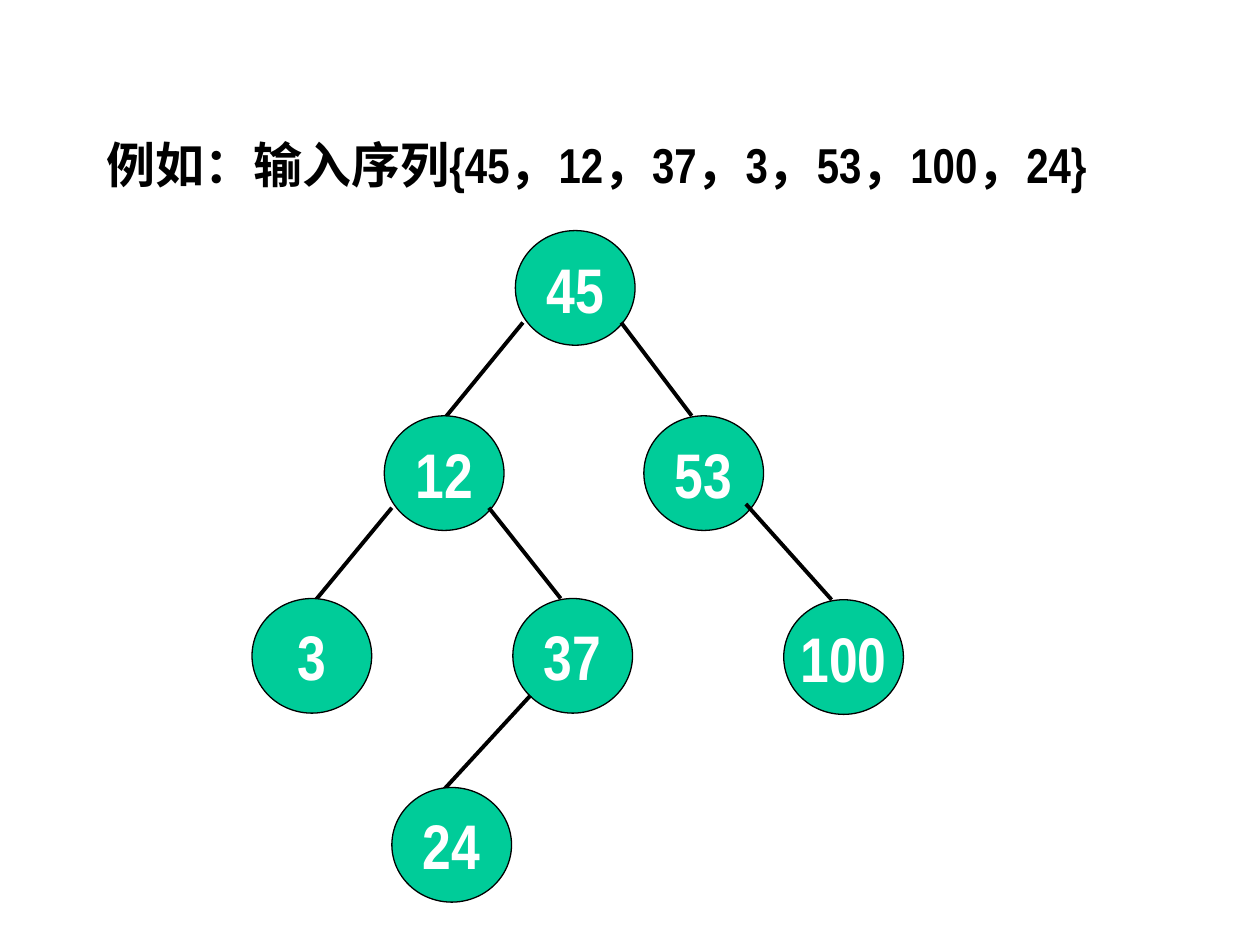
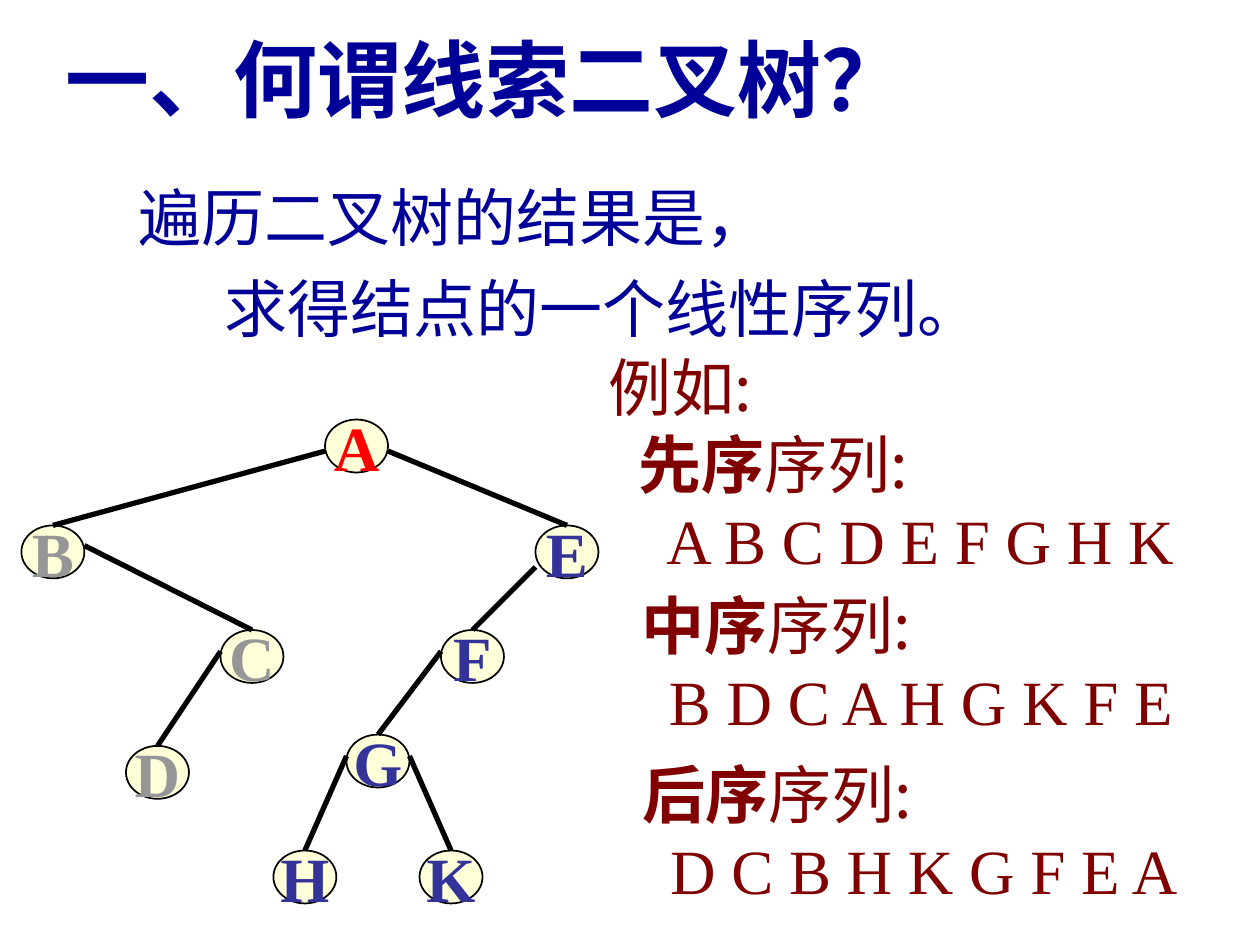
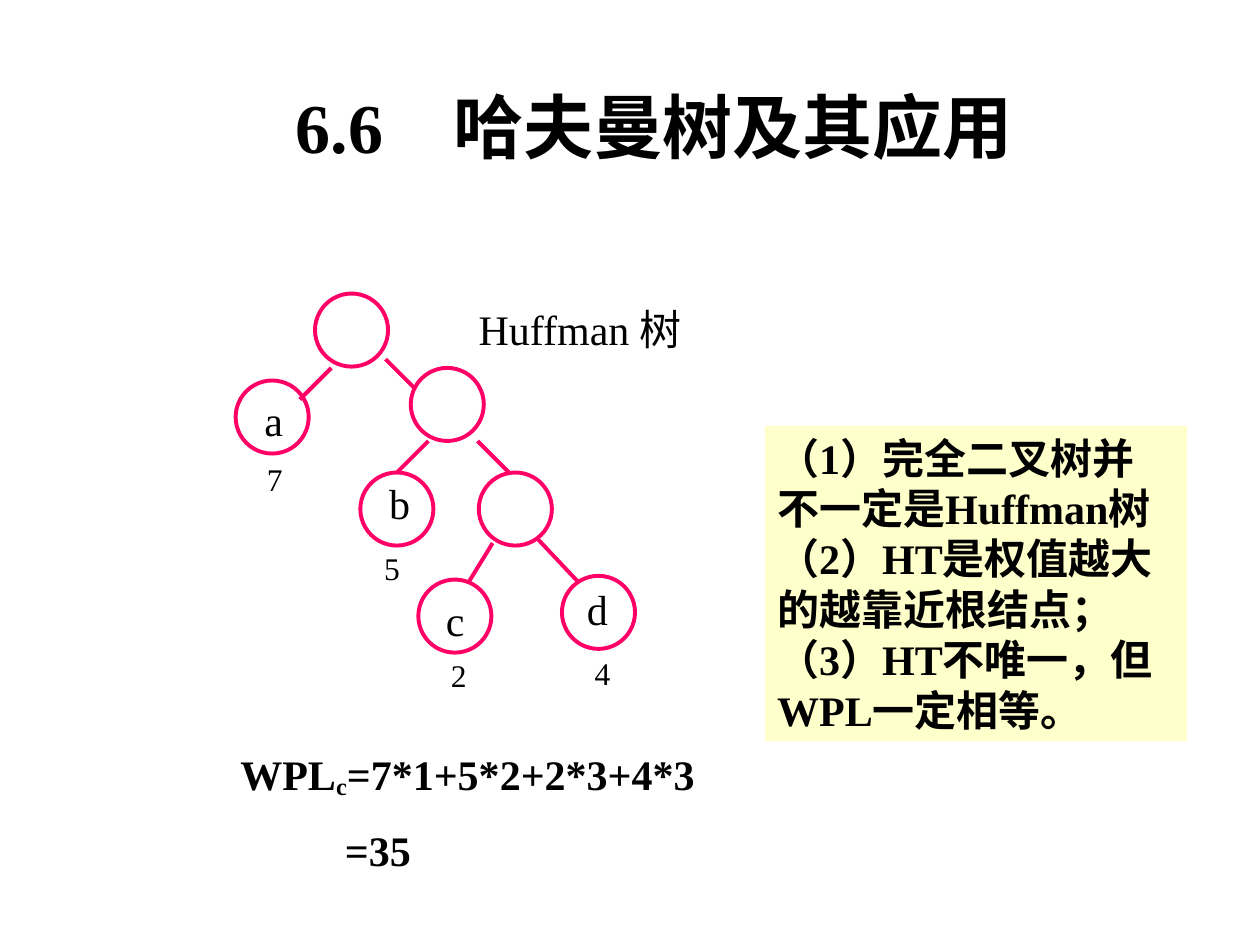
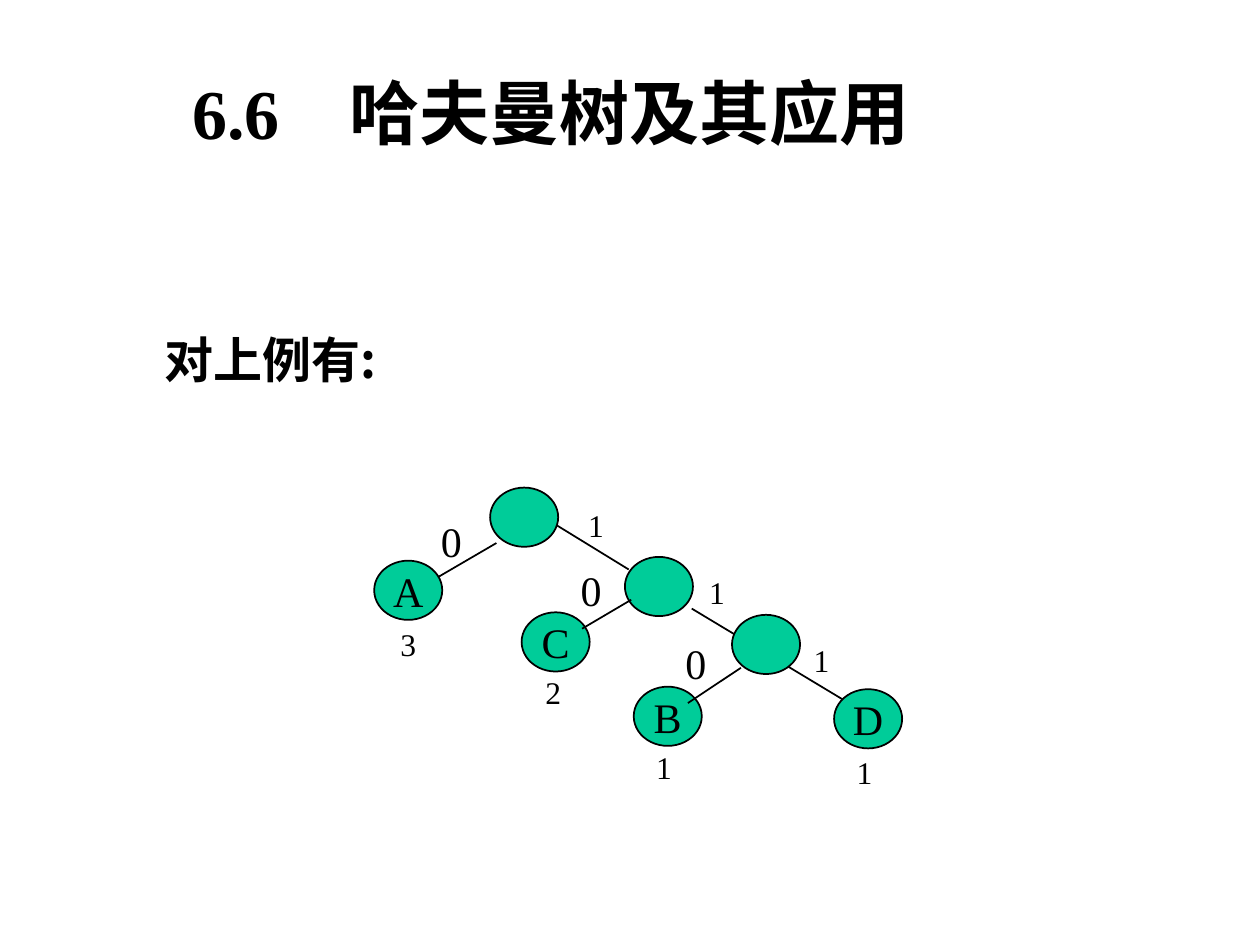
from dataclasses import dataclass

import pptx
import pptx.dml.color
import pptx.enum.shapes
import pptx.enum.text
import pptx.oxml.ns
import pptx.util
from lxml import etree

Inches = pptx.util.Inches
Pt = pptx.util.Pt
ANCHOR = pptx.enum.text.MSO_ANCHOR
ALIGN = pptx.enum.text.PP_ALIGN
qn = pptx.oxml.ns.qn


@dataclass(frozen=True)
class Theme:
    black: str = "000000"
    white: str = "FFFFFF"
    green: str = "00CC99"
    cream: str = "FFFFD9"
    note: str = "FFFFCC"
    navy: str = "000099"
    indigo: str = "333399"
    maroon: str = "800000"
    red: str = "FF0000"
    gray: str = "969696"
    pink: str = "FF0066"
    serif: str = "Times New Roman"
    narrow: str = "Arial Narrow"
    chinese: str = "Noto Sans CJK SC"
    chinese_heading: str = "Noto Sans CJK JP"
    headline: int = 48
    title: int = 40
    large: int = 36
    lead: int = 28
    body: int = 24
    weight: int = 18
    title_indent: float = 0.68


THEME = Theme()


@dataclass(frozen=True)
class Format:
    size: int
    color: str = THEME.black
    font: str = THEME.serif
    bold: bool = False


@dataclass(frozen=True)
class Paragraph:
    """Runs are (text, format, baseline percent) triples."""
    runs: tuple
    indent: float = 0
    before: int = 0
    spacing: float = 1.0


@dataclass(frozen=True)
class NodeStyle:
    width: float
    height: float
    fill: str
    outline: str
    outline_width: float
    edge_width: float
    label: Format


BODY = Format(THEME.body)
BODY_BOLD = Format(THEME.body, bold=True)
WEIGHT = Format(THEME.weight)
TITLE = Format(THEME.title, bold=True)


def rgb(code):
    return pptx.dml.color.RGBColor.from_string(code)


def set_attributes(target, values):
    for name, value in values.items():
        setattr(target, name, value)


def plain(text, form, **layout):
    """Make a paragraph of one run."""
    return Paragraph(((text, form, 0),), **layout)


def add_run(paragraph, text, form, baseline=0):
    run = paragraph.add_run()
    run.text = text
    set_attributes(run.font, {"size": Pt(form.size), "name": form.font, "bold": form.bold})
    run.font.color.rgb = rgb(form.color)
    properties = run.font._element
    east_asian = form.font if "CJK" in form.font else THEME.chinese
    etree.SubElement(properties, qn("a:ea")).set("typeface", east_asian)
    if baseline:
        properties.set("baseline", str(baseline * 1000))


def fill_frame(frame, paragraphs, align=ALIGN.LEFT, **frame_values):
    set_attributes(frame, frame_values)
    for number, content in enumerate(paragraphs):
        paragraph = frame.add_paragraph() if number else frame.paragraphs[0]
        set_attributes(paragraph, {"alignment": align, "line_spacing": content.spacing})
        if content.before:
            paragraph.space_before = Pt(content.before)
        if content.indent:
            paragraph._p.get_or_add_pPr().set("marL", str(Inches(content.indent)))
        for run in content.runs:
            add_run(paragraph, *run)


def add_text(slide, place, *paragraphs, wrap=True, anchor=ANCHOR.TOP):
    box = slide.shapes.add_textbox(*map(Inches, place))
    fill_frame(box.text_frame, paragraphs, word_wrap=wrap, vertical_anchor=anchor)


def add_labels(slide, labels, form):
    """Put small labels, given as (text, left, top)."""
    for text, left, top in labels:
        add_text(slide, (left, top, 0.42, 0.45), plain(text, form))


def add_section_title(slide, place):
    title = plain("6.6　哈夫曼树及其应用", TITLE, indent=THEME.title_indent)
    add_text(slide, place, title, anchor=ANCHOR.BOTTOM)


def add_preset(slide, kind, place, fill=None):
    shape = slide.shapes.add_shape(kind, *map(Inches, place))
    shape.shadow.inherit = False
    if fill:
        shape.fill.solid()
        shape.fill.fore_color.rgb = rgb(fill)
    else:
        shape.fill.background()
    return shape


def add_nodes(slide, nodes, style, color=None):
    """Draw ellipses, given as (label, left, top)."""
    for label, left, top in nodes:
        node = add_preset(slide, pptx.enum.shapes.MSO_SHAPE.OVAL,
                          (left, top, style.width, style.height), style.fill)
        node.line.color.rgb = rgb(style.outline)
        node.line.width = Pt(style.outline_width)
        if label:
            form = Format(style.label.size, color or style.label.color,
                          style.label.font, style.label.bold)
            fill_frame(node.text_frame, [plain(label, form)], ALIGN.CENTER,
                       word_wrap=False, vertical_anchor=ANCHOR.MIDDLE)


def add_edges(slide, edges, style):
    """Draw lines, given as (x1, y1, x2, y2)."""
    for ends in edges:
        edge = slide.shapes.add_connector(
            pptx.enum.shapes.MSO_CONNECTOR.STRAIGHT, *map(Inches, ends))
        edge.line.color.rgb = rgb(style.outline)
        edge.line.width = Pt(style.edge_width)
        etree.SubElement(edge._element.spPr, qn("a:effectLst"))


def build_search_tree(slide):
    sequence = Format(THEME.lead, font=THEME.narrow, bold=True)
    add_text(slide, (0.75, 1.02, 8.83, 0.57),
             plain("例如：输入序列{45，12，37，3，53，100，24}", sequence))
    style = NodeStyle(0.95, 0.91, THEME.green, THEME.black, 0.75, 2.25,
                      Format(THEME.large, THEME.white, THEME.narrow, True))
    levels = [
        ([("45", 4.09, 1.83)],
         [(4.15, 2.56, 3.25, 3.66), (4.93, 2.56, 5.49, 3.3)]),
        ([("12", 3.05, 3.3), ("53", 5.11, 3.3)],
         [(3.11, 4.03, 2.21, 5.12), (3.88, 4.03, 4.45, 4.75), (5.92, 4, 6.6, 4.76)]),
        ([("3", 2, 4.75), ("37", 4.07, 4.75), ("100", 6.22, 4.76)],
         [(4.21, 5.52, 3.29, 6.52)]),
        ([("24", 3.11, 6.25)], []),
    ]
    for nodes, edges_down in levels:
        add_nodes(slide, nodes, style)
        add_edges(slide, edges_down, style)


def build_threaded_tree(slide):
    add_text(slide, (-0.58, 0.17, 8.1, 0.9),
             plain("一、何谓线索二叉树？",
                   Format(THEME.headline, THEME.navy, bold=True), indent=1))
    statement = Format(THEME.large, THEME.navy)
    add_text(slide, (0, 1.25, 9.25, 1.54),
             plain("遍历二叉树的结果是，", statement, indent=1, spacing=1.2),
             plain("求得结点的一个线性序列。", statement, indent=1.68, spacing=1.2))

    style = NodeStyle(0.5, 0.42, THEME.cream, THEME.black, 1, 3,
                      Format(THEME.large, bold=True))
    subtrees = {
        THEME.red: [("A", 2.58, 3.33)],
        THEME.gray: [("B", 0.17, 4.17), ("C", 1.75, 5), ("D", 1, 5.92)],
        THEME.indigo: [("E", 4.25, 4.17), ("F", 3.5, 5), ("G", 2.75, 5.83),
                       ("H", 2.17, 6.75), ("K", 3.33, 6.75)],
    }
    for color, nodes in subtrees.items():
        add_nodes(slide, nodes, style, color)
    add_edges(slide, [
        (2.58, 3.58, 0.42, 4.17), (0.67, 4.33, 2, 5), (1.75, 5.17, 1.25, 5.92),
        (3.08, 3.58, 4.5, 4.17), (4.25, 4.5, 3.75, 5), (3.5, 5.17, 3, 5.83),
        (2.75, 6, 2.42, 6.75), (3.25, 6, 3.58, 6.75),
    ], style)

    caption = Format(THEME.large, THEME.maroon, THEME.chinese)
    order_name = Format(THEME.large, THEME.maroon, THEME.chinese, True)
    visits = Format(THEME.large, THEME.maroon)
    add_text(slide, (4.73, 2.72, 1.45, 0.7), plain("例如:", caption), wrap=False)
    for order, letters, left, top in [
        ("先序", "A B C D E F G H K", 4.97, 3.33),
        ("中序", "B D C A H G K F E", 4.99, 4.61),
        ("后序", "D C B H K G F E A", 5, 5.95),
    ]:
        add_text(slide, (left, top, 4.76, 1.3),
                 Paragraph(((order, order_name, 0), ("序列:", caption, 0))),
                 plain(letters, visits, indent=0.22))


def build_huffman_tree(slide):
    add_section_title(slide, (1.57, 0.46, 6.96, 0.92))
    add_text(slide, (3.7, 2.36, 2.17, 0.5), plain("Huffman 树", BODY))
    add_text(slide, (1.81, 5.89, 4.93, 1.1),
             Paragraph((("WPL", BODY_BOLD, 0), ("c", BODY_BOLD, -12),
                        ("=7*1+5*2+2*3+4*3", BODY_BOLD, 0))),
             plain("=35", BODY_BOLD, indent=0.83, before=14))

    style = NodeStyle(0.58, 0.58, None, THEME.pink, 2.25, 2.25, BODY)
    circles = [(2.5, 2.33), (1.87, 3.02), (3.26, 2.92), (2.86, 3.75),
               (3.8, 3.75), (3.32, 4.6), (4.46, 4.57)]
    add_nodes(slide, [("", left, top) for left, top in circles], style)
    add_edges(slide, [
        (2.63, 2.92, 2.38, 3.17), (3.06, 2.85, 3.29, 3.08), (3.79, 3.5, 4.04, 3.75),
        (3.4, 3.5, 3.15, 3.75), (3.91, 4.31, 3.72, 4.62), (4.26, 4.27, 4.59, 4.62),
    ], style)
    add_labels(slide, [("a", 2, 3.08), ("b", 2.99, 3.74),
                       ("c", 3.44, 4.67), ("d", 4.56, 4.58)], BODY)
    add_labels(slide, [("7", 2.02, 3.6), ("5", 2.95, 4.31),
                       ("2", 3.48, 5.16), ("4", 4.62, 5.14)], WEIGHT)

    remarks = add_preset(slide, pptx.enum.shapes.MSO_SHAPE.RECTANGLE,
                         (6.07, 3.38, 3.35, 2.5), THEME.note)
    remarks.line.fill.background()
    fill_frame(remarks.text_frame, [plain(text, BODY_BOLD) for text in (
        "（1）完全二叉树并不一定是Huffman树",
        "（2）HT是权值越大的越靠近根结点；",
        "（3）HT不唯一，但WPL一定相等。",
    )], word_wrap=True, vertical_anchor=ANCHOR.TOP)


def build_huffman_code(slide):
    add_section_title(slide, (0.75, 0.57, 8.5, 0.7))
    add_text(slide, (1.21, 2.57, 2.26, 0.57),
             plain("对上例有:", Format(THEME.lead, font=THEME.chinese_heading, bold=True)))

    style = NodeStyle(0.54, 0.47, THEME.green, THEME.black, 1, 1, BODY)
    stray_point = (1.33, 6.42, 1.33, 6.42)
    add_edges(slide, [stray_point, (3.94, 4.31, 3.46, 4.59),
                      (4.42, 4.17, 4.99, 4.52), (5.49, 4.83, 6.77, 5.6)], style)
    add_nodes(slide, [("", 3.89, 3.87), ("A", 2.97, 4.45), ("C", 4.14, 4.86),
                      ("", 4.96, 4.42), ("", 5.81, 4.88), ("B", 5.03, 5.45),
                      ("D", 6.62, 5.47)], style)
    add_edges(slide, [(5.01, 4.76, 4.62, 4.99), (5.88, 5.3, 5.46, 5.58)], style)

    left_bits = [("0", 3.4, 4.04), ("0", 4.51, 4.43), ("0", 5.34, 5.01)]
    right_bits = [("1", 4.57, 3.97), ("1", 5.53, 4.5), ("1", 6.36, 5.04)]
    weights = [("3", 3.08, 4.91), ("2", 4.23, 5.29), ("1", 5.11, 5.89), ("1", 6.7, 5.93)]
    add_labels(slide, left_bits, BODY)
    add_labels(slide, right_bits + weights, WEIGHT)


def main():
    deck = pptx.Presentation()
    set_attributes(deck, {"slide_width": Inches(10), "slide_height": Inches(7.5)})
    blank = deck.slide_layouts[6]
    for build in (build_search_tree, build_threaded_tree,
                  build_huffman_tree, build_huffman_code):
        build(deck.slides.add_slide(blank))
    deck.save("out.pptx")


if __name__ == "__main__":
    main()
